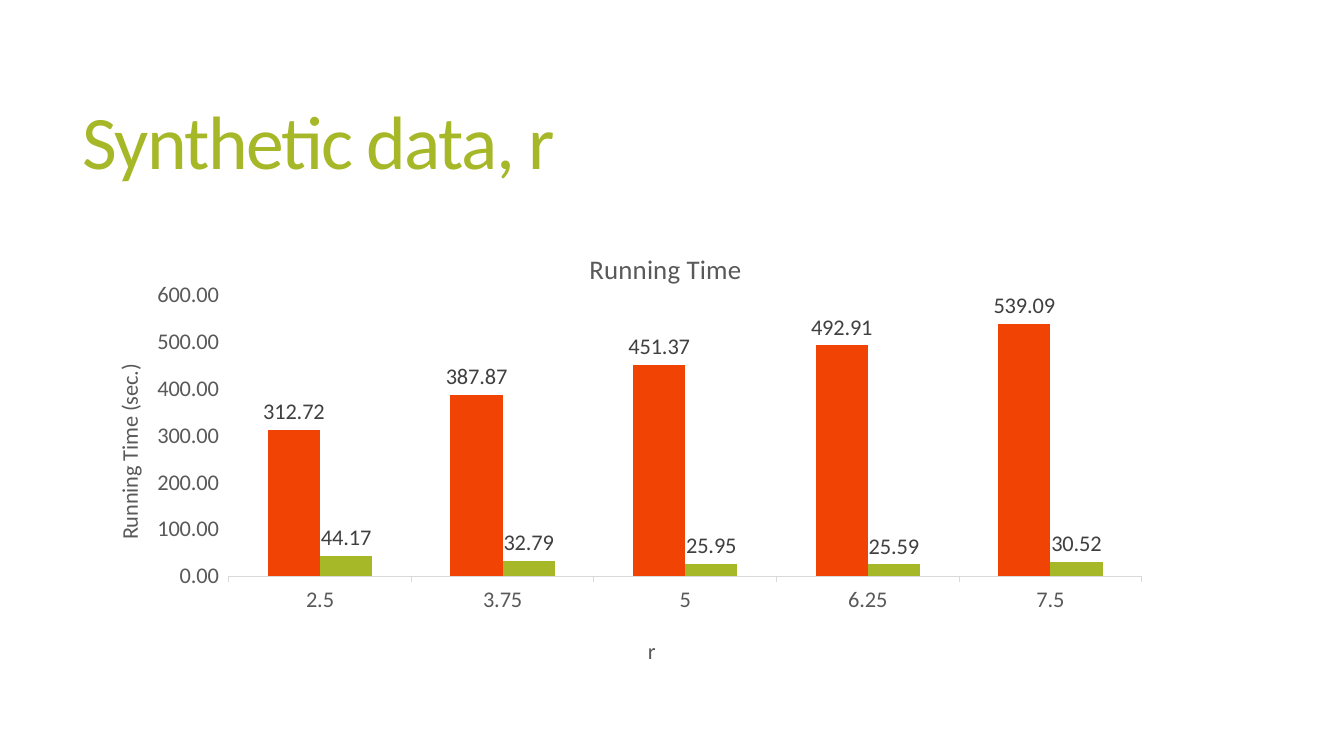
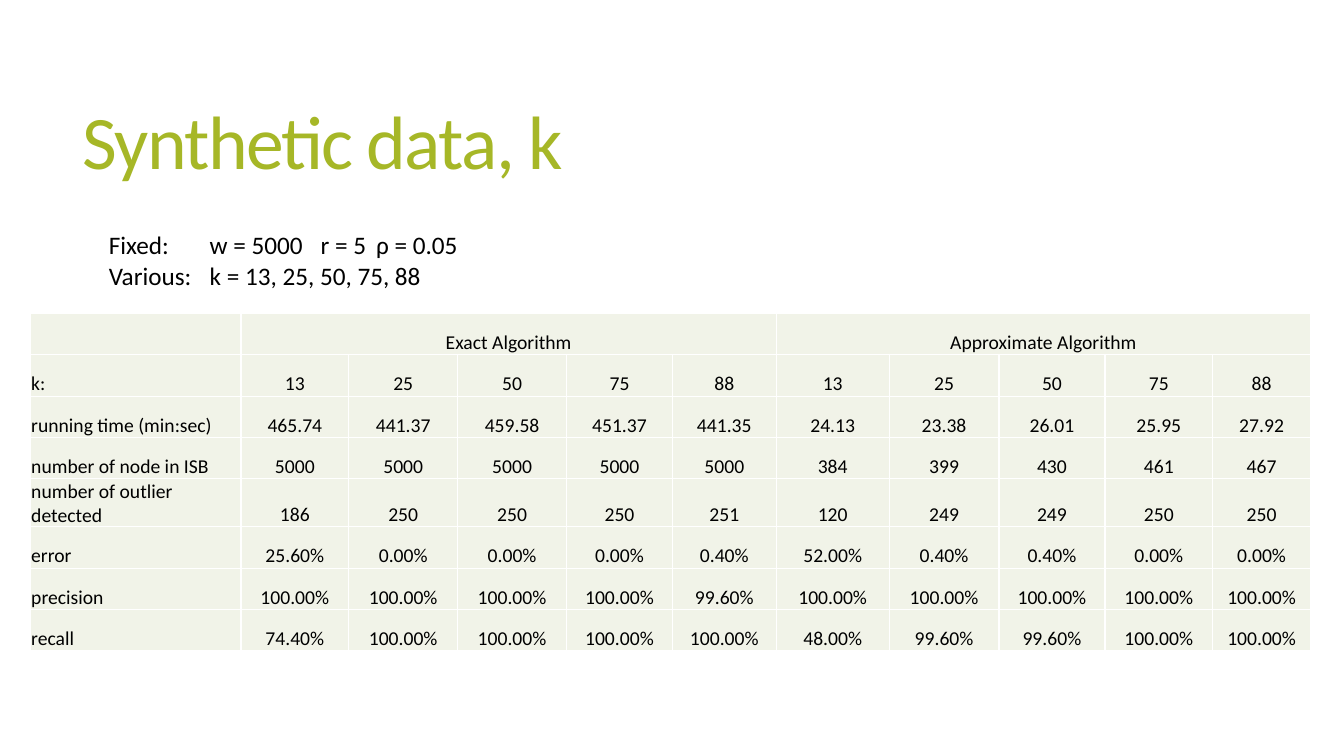
from lxml.etree import SubElement
from pptx import Presentation
from pptx.chart.data import CategoryChartData
from pptx.dml.color import RGBColor
from pptx.enum.chart import XL_CHART_TYPE as ChartType, XL_LABEL_POSITION as LabelPosition
from pptx.enum.chart import XL_TICK_MARK as TickMark
from pptx.enum.text import MSO_ANCHOR as Anchor, PP_ALIGN as Align
from pptx.oxml.ns import qn
from pptx.oxml.xmlchemy import OxmlElement
from pptx.util import Inches, Pt

FONT = "Calibri"
GREEN, ORANGE = "A6B727", "F04304"
BLACK, WHITE, GREY = "000000", "FFFFFF", "595959"
LABEL_GREY, AXIS_GREY, CELL_FILL = "404040", "D9D9D9", "F1F3E8"

TITLE_BOX = (0.72, 0.55, 11.78, 1.81)
CHART_BOX = (0.74, 2.2, 11.76, 4.57)
SETTINGS_BOX = (0.48, 2.23, 11.78, 0.71)
TABLE_BOX = (0.3, 3.11, 12.7, 3.37)

RADII = ["2.5", "3.75", "5", "6.25", "7.5"]
RUNNING_TIMES = [
    ("Exact Algorithm", ORANGE, [312.72, 387.87, 451.37, 492.91, 539.09]),
    ("Approximate Algorithm", GREEN, [44.17, 32.79, 25.95, 25.59, 30.52]),
]

SETTINGS = [
    "Fixed:\tw = 5000\tr = 5\tρ = 0.05",
    "Various:\tk = 13, 25, 50, 75, 88",
]
SETTING_TABS = [1, 2.1, 2.65]

ALGORITHMS = ["Exact Algorithm", "Approximate Algorithm"]
COLUMN_WIDTHS = [2.09, 1.07, 1.08, 1.08, 1.05, 1.03, 1.12, 1.09, 1.05, 1.07, 0.97]
ROW_HEIGHT = 0.41
NEIGHBOURS = ["13", "25", "50", "75", "88"]
RESULTS = [
    ["k:"] + NEIGHBOURS * 2,
    ["running time (min:sec)", "465.74", "441.37", "459.58", "451.37", "441.35",
     "24.13", "23.38", "26.01", "25.95", "27.92"],
    ["number of node in ISB"] + ["5000"] * 5 + ["384", "399", "430", "461", "467"],
    ["number of outlier detected", "186", "250", "250", "250", "251",
     "120", "249", "249", "250", "250"],
    ["error", "25.60%", "0.00%", "0.00%", "0.00%", "0.40%",
     "52.00%", "0.40%", "0.40%", "0.00%", "0.00%"],
    ["precision"] + ["100.00%"] * 4 + ["99.60%"] + ["100.00%"] * 5,
    ["recall", "74.40%"] + ["100.00%"] * 4
    + ["48.00%", "99.60%", "99.60%", "100.00%", "100.00%"],
]


def rgb(value):
    return RGBColor.from_string(value)


def place(box):
    return [Inches(length) for length in box]


def style_font(font, size, color):
    font.name = FONT
    font.size = Pt(size)
    font.bold = False
    font.color.rgb = rgb(color)


def add_run(para, text, size, color):
    span = para.add_run()
    span.text = text
    style_font(span.font, size, color)
    return span


def add_title(page, text, box):
    frame = page.shapes.add_textbox(*place(box)).text_frame
    frame.word_wrap = True
    frame.vertical_anchor = Anchor.MIDDLE
    para = frame.paragraphs[0]
    para.line_spacing = 0.85
    span = add_run(para, text, 54, GREEN)
    span.font._element.set("spc", "-120")


def set_layout(parent, index, **fractions):
    """Give a chart part a manual layout, in fractions of the chart."""
    layout = parent.find(qn("c:layout"))
    if layout is None:
        layout = OxmlElement("c:layout")
        parent.insert(index, layout)
    manual = SubElement(layout, qn("c:manualLayout"))
    if "w" in fractions:
        SubElement(manual, qn("c:layoutTarget")).set("val", "inner")
    for mode in ("xMode", "yMode"):
        SubElement(manual, qn("c:" + mode)).set("val", "edge")
    for name, value in fractions.items():
        SubElement(manual, qn("c:" + name)).set("val", str(value))


def set_chart_text(title, text, size, x, y):
    add_run(title.text_frame.paragraphs[0], text, size, GREY)
    set_layout(title._element, 1, x=x, y=y)


def style_axis(axis, title, x, y):
    axis.has_major_gridlines = False
    axis.major_tick_mark = TickMark.OUTSIDE
    axis.minor_tick_mark = TickMark.NONE
    style_font(axis.tick_labels.font, 16, GREY)
    set_chart_text(axis.axis_title, title, 16, x, y)


def add_running_time_chart(page, box):
    data = CategoryChartData(number_format="0.00")
    data.categories = RADII
    for name, _, values in RUNNING_TIMES:
        data.add_series(name, values)
    chart = page.shapes.add_chart(ChartType.COLUMN_CLUSTERED, *place(box), data).chart
    style_font(chart.font, 16, BLACK)
    chart.has_legend = False
    chart.has_title = True
    set_chart_text(chart.chart_title, "Running Time", 19.2, 0.43, 0.05)

    style_axis(chart.category_axis, "r", 0.48, 0.89)
    line = chart.category_axis.format.line
    line.color.rgb = rgb(AXIS_GREY)
    line.width = Pt(0.75)
    style_axis(chart.value_axis, "Running Time (sec.)", 0.03, 0.3)
    chart.value_axis.format.line.fill.background()
    chart.value_axis.tick_labels.number_format = "0.00"
    chart.value_axis.tick_labels.number_format_is_linked = False
    value_text = chart.value_axis.axis_title.text_frame._txBody.bodyPr
    value_text.set("rot", "-5400000")
    value_text.set("vert", "horz")

    plot = chart.plots[0]
    plot.gap_width = 150
    plot.overlap = 0
    plot.vary_by_categories = False
    for series, (_, color, _) in zip(plot.series, RUNNING_TIMES):
        series.format.fill.solid()
        series.format.fill.fore_color.rgb = rgb(color)
        labels = series.data_labels
        labels.show_value = True
        labels.position = LabelPosition.OUTSIDE_END
        labels.number_format = "0.00"
        labels.number_format_is_linked = False
        style_font(labels.font, 16, LABEL_GREY)
    plot_area = chart._chartSpace.find(".//" + qn("c:plotArea"))
    set_layout(plot_area, 0, x=0.13, y=0.16, w=0.77, h=0.61)


def add_settings(page, box):
    frame = page.shapes.add_textbox(*place(box)).text_frame
    frame.word_wrap = True
    frame.margin_left = Inches(0.6)
    for index, text in enumerate(SETTINGS):
        para = frame.add_paragraph() if index else frame.paragraphs[0]
        tabs = SubElement(para._p.get_or_add_pPr(), qn("a:tabLst"))
        for position in SETTING_TABS:
            SubElement(tabs, qn("a:tab"), pos=str(Inches(position)), algn="l")
        add_run(para, text, 18, BLACK)


def style_cell(cell):
    properties = cell._tc.get_or_add_tcPr()
    for side in ("lnL", "lnR", "lnT", "lnB"):
        border = SubElement(properties, qn("a:" + side), w=str(Pt(1)))
        fill = SubElement(border, qn("a:solidFill"))
        SubElement(fill, qn("a:srgbClr"), val=WHITE)
    cell.fill.solid()
    cell.fill.fore_color.rgb = rgb(CELL_FILL)
    cell.vertical_anchor = Anchor.BOTTOM
    cell.margin_left = cell.margin_right = cell.margin_top = Inches(0.01)
    cell.margin_bottom = 0


def fill_cell(cell, text, align):
    para = cell.text_frame.paragraphs[0]
    para.alignment = align
    add_run(para, text, 14, BLACK)


def add_results_table(page, box):
    row_count, group = len(RESULTS) + 1, len(NEIGHBOURS)
    table = page.shapes.add_table(row_count, len(COLUMN_WIDTHS), *place(box)).table
    table.first_row = table.horz_banding = False
    for column, width in zip(table.columns, COLUMN_WIDTHS):
        column.width = Inches(width)
    for row in table.rows:
        row.height = Inches(ROW_HEIGHT)
    for cell in table.iter_cells():
        style_cell(cell)
    for index, name in enumerate(ALGORITHMS):
        first = 1 + index * group
        heading = table.cell(0, first)
        heading.merge(table.cell(0, first + group - 1))
        fill_cell(heading, name, Align.CENTER)
    for row, values in enumerate(RESULTS, start=1):
        for column, text in enumerate(values):
            fill_cell(table.cell(row, column), text, Align.CENTER if column else Align.LEFT)


def add_page(deck, title):
    page = deck.slides.add_slide(deck.slide_layouts[6])
    add_title(page, title, TITLE_BOX)
    return page


def build_radius_page(deck):
    page = add_page(deck, "Synthetic data, r")
    add_running_time_chart(page, CHART_BOX)


def build_neighbour_page(deck):
    page = add_page(deck, "Synthetic data, k")
    add_settings(page, SETTINGS_BOX)
    add_results_table(page, TABLE_BOX)


def main():
    deck = Presentation()
    deck.slide_width, deck.slide_height = Inches(13.33), Inches(7.5)
    build_radius_page(deck)
    build_neighbour_page(deck)
    deck.save("out.pptx")


if __name__ == "__main__":
    main()
